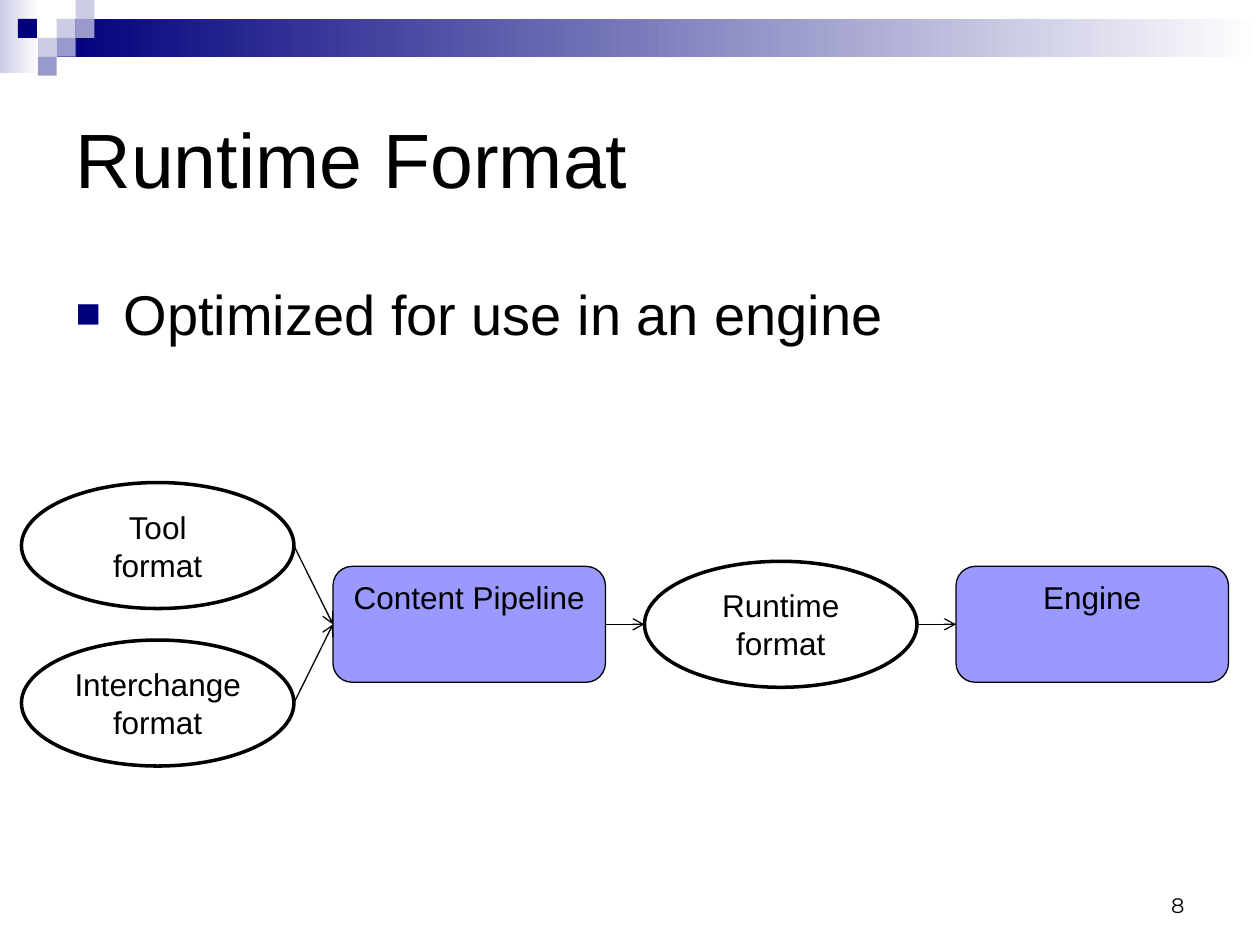
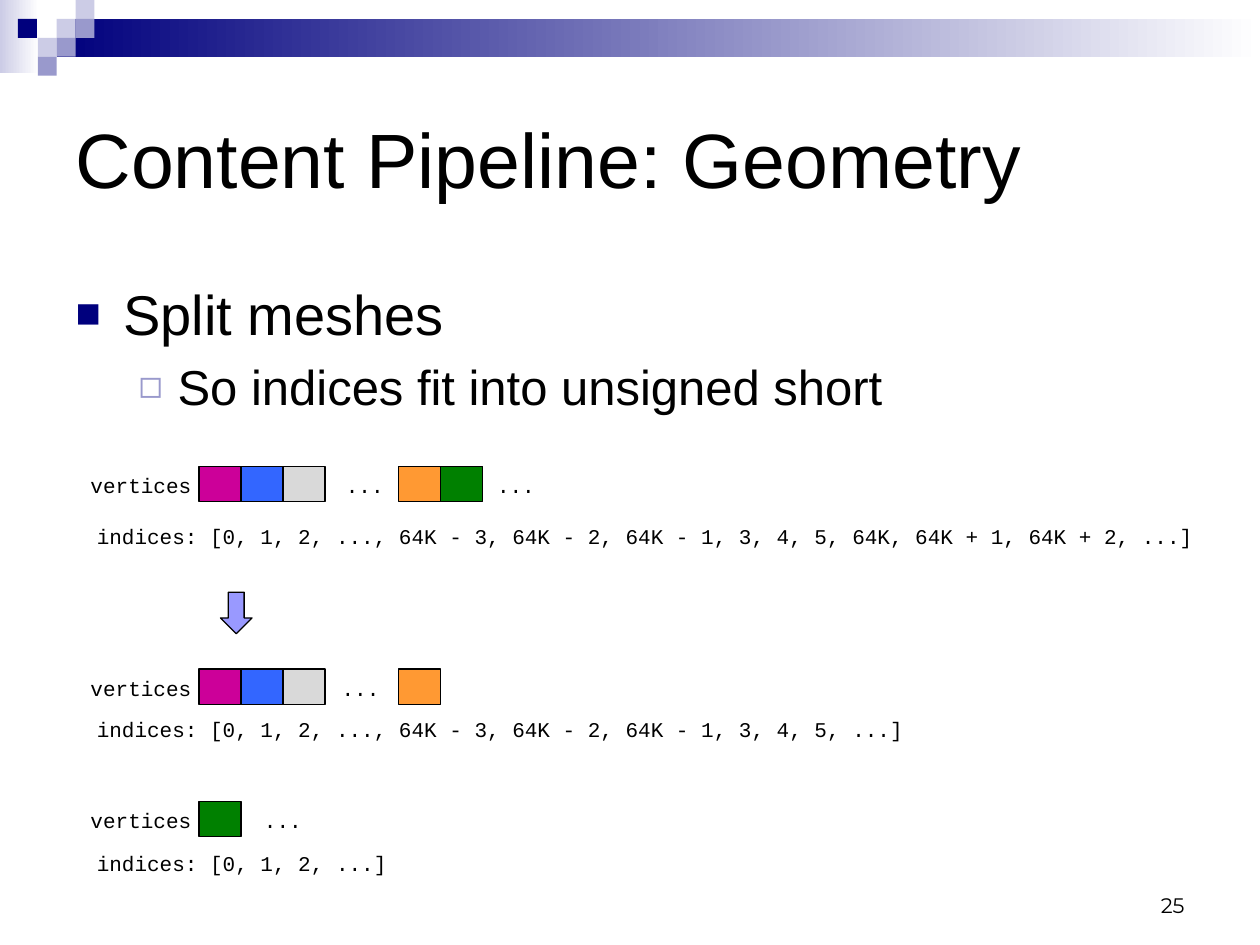
from lxml.etree import SubElement
from pptx import Presentation
from pptx.dml.color import RGBColor
from pptx.enum.shapes import MSO_CONNECTOR, MSO_SHAPE
from pptx.enum.text import MSO_ANCHOR, MSO_AUTO_SIZE, PP_ALIGN
from pptx.oxml.ns import qn
from pptx.util import Inches, Pt

COLORS = {
    "text": "000000", "paper": "FFFFFF", "navy": "00007D", "lavender": "9999CC",
    "mist": "CCCCE6", "process": "9999FF", "magenta": "CC0099", "blue": "3366FF",
    "gray": "D9D9D9", "orange": "FF9933", "green": "008000",
}
SANS, MONO, NUMBER_FONT = "Arial", "Courier New", "Montserrat"
TILE = 0.15  # unit of the header mosaic
# per list level: size, left margin, hanging indent, bullet, bullet colour, bullet size %
LEVELS = [(32, 0.38, 0.38, "■", "navy", 75), (28, 0.81, 0.31, "◻", "lavender", 80)]


def rgb(name):
    return RGBColor.from_string(COLORS[name])


def style(paragraph, size, font=SANS, align=PP_ALIGN.LEFT):
    paragraph.alignment = align
    paragraph.font.size = Pt(size)
    paragraph.font.name = font
    paragraph.font.color.rgb = rgb("text")


def place(shape, left, top, width, height):
    shape.left, shape.top = Inches(left), Inches(top)
    shape.width, shape.height = Inches(width), Inches(height)


def add_block(slide, kind, box, fill, line_width=0.75):
    """Add a preset shape; a pair of colours gives a left-to-right gradient."""
    block = slide.shapes.add_shape(kind, *map(Inches, box))
    block.shadow.inherit = False
    if isinstance(fill, tuple):
        block.fill.gradient()
        block.fill.gradient_angle = 0
        for stop, color in zip(block.fill.gradient_stops, fill):
            stop.color.rgb = rgb(color)
    else:
        block.fill.solid()
        block.fill.fore_color.rgb = rgb(fill)
    if line_width:
        block.line.color.rgb = rgb("text")
        block.line.width = Pt(line_width)
    else:
        block.line.fill.background()
    return block


def add_label(slide, text, box, font, align=PP_ALIGN.LEFT, anchor=MSO_ANCHOR.TOP, wrap=False):
    frame = slide.shapes.add_textbox(*map(Inches, box)).text_frame
    frame.word_wrap, frame.vertical_anchor = wrap, anchor
    frame.text = text
    style(frame.paragraphs[0], 12, font, align)


def add_header(slide):
    rect = MSO_SHAPE.RECTANGLE
    add_block(slide, rect, (0, 0, 0.31, 0.58), ("mist", "paper"), 0)
    add_block(slide, rect, (3 * TILE, TILE, 10 - 3 * TILE, 2 * TILE), ("navy", "paper"), 0)
    tiles = [(3, 1, "mist"), (4, 0, "mist"), (4, 1, "lavender"), (2, 2, "mist"),
             (0.95, 1, "navy"), (3, 2, "lavender"), (2, 3, "lavender")]
    for column, row, color in tiles:
        add_block(slide, rect, (column * TILE, row * TILE, TILE, TILE), color, 0)


def add_bullets(body, items, height):
    place(body, 0.5, 2.17, 9, height)
    frame = body.text_frame
    frame.auto_size = MSO_AUTO_SIZE.NONE
    frame.text = "\n".join(items)
    for level, paragraph in enumerate(frame.paragraphs):
        size, margin, hanging, bullet, color, percent = LEVELS[level]
        paragraph.level = level
        style(paragraph, size)
        props = paragraph._p.get_or_add_pPr()
        props.set("marL", str(Inches(margin)))
        props.set("indent", str(-Inches(hanging)))
        SubElement(SubElement(props, qn("a:buClr")), qn("a:srgbClr"), val=COLORS[color])
        SubElement(props, qn("a:buSzPct"), val=str(percent * 1000))
        SubElement(props, qn("a:buFont"), typeface=SANS)
        SubElement(props, qn("a:buChar"), char=bullet)


def add_slide(prs, title, bullets, body_height, number):
    slide = prs.slides.add_slide(prs.slide_layouts[1])
    add_header(slide)
    heading = slide.shapes.title
    place(heading, 0.5, 0.5, 9, 1.5)
    heading.text_frame.text = title
    heading.text_frame.auto_size = MSO_AUTO_SIZE.NONE
    heading.text_frame.vertical_anchor = MSO_ANCHOR.MIDDLE
    style(heading.text_frame.paragraphs[0], 44)
    add_bullets(slide.placeholders[1], bullets, body_height)
    add_label(slide, number, (7.17, 6.83, 2.33, 0.5), NUMBER_FONT,
              PP_ALIGN.RIGHT, MSO_ANCHOR.BOTTOM, wrap=True)
    return slide


def add_arrow(slide, start, end):
    arrow = slide.shapes.add_connector(MSO_CONNECTOR.STRAIGHT, *map(Inches, start + end))
    arrow.line.color.rgb = rgb("text")
    arrow.line.width = Pt(0.75)
    props = arrow._element.spPr
    SubElement(props.find(qn("a:ln")), qn("a:tailEnd"), type="arrow")
    SubElement(props, qn("a:effectLst"))


def add_flow(slide, left, top, width, height):
    """Formats (ellipses) and processes (rounded boxes) in four columns."""
    gap = 0.31
    node_width = (width - 3 * gap) / 4
    pitch = node_width + gap
    middle = top + height / 2
    format_height, process_height = 1, 0.92

    def add_node(text, column, center, is_format):
        node_height = format_height if is_format else process_height
        node = add_block(slide, MSO_SHAPE.OVAL if is_format else MSO_SHAPE.ROUNDED_RECTANGLE,
                         (left + column * pitch, center - node_height / 2, node_width, node_height),
                         "paper" if is_format else "process", 2 if is_format else 0.75)
        frame = node.text_frame
        frame.vertical_anchor = MSO_ANCHOR.MIDDLE if is_format else MSO_ANCHOR.TOP
        frame.text = text
        for paragraph in frame.paragraphs:
            style(paragraph, 18, align=PP_ALIGN.CENTER)

    upper, lower = top + format_height / 2, top + height - format_height / 2
    add_node("Interchange format", 0, lower, True)
    add_node("Tool\nformat", 0, upper, True)
    add_node("Content Pipeline", 1, middle, False)
    add_node("Runtime\nformat", 2, middle, True)
    add_node("Engine", 3, middle, False)
    for column, source in [(0, lower), (0, upper), (1, middle), (2, middle)]:
        end = left + (column + 1) * pitch
        add_arrow(slide, (end - gap, source), (end, middle))


def add_mesh(slide, left, top, vertices, dots, indices, indices_drop):
    """Vertex cells and dots at cell columns, with the index list below."""
    cell, first_cell = 1 / 3, left + 0.96
    add_label(slide, "vertices", (left, top, 1, 0.3), MONO)
    for column in dots:
        add_label(slide, "...", (first_cell + column * cell, top, 0.5, 0.3), MONO)
    for column, color in vertices:
        add_block(slide, MSO_SHAPE.RECTANGLE,
                  (first_cell + column * cell, top, cell, 0.28), color)
    add_label(slide, f"indices: [{indices}]", (left + 0.05, top + indices_drop, 9, 0.3), MONO)


def build_runtime_format(prs):
    slide = add_slide(prs, "Runtime Format", ["Optimized for use in an engine"], 0.67, "8")
    add_flow(slide, 0.17, 3.83, 9.58, 2.25)


def build_geometry(prs):
    slide = add_slide(prs, "Content Pipeline: Geometry",
                      ["Split meshes", "So indices fit into unsigned short"], 1.25, "25")
    shared = [(0, "magenta"), (1, "blue"), (2, "gray"), (4.75, "orange")]
    prefix = "0, 1, 2, ..., 64K - 3, 64K - 2, 64K - 1, 3, 4, 5, "
    left = 0.62
    add_mesh(slide, left, 3.7, shared + [(5.75, "green")], [3.2, 6.8],
             prefix + "64K, 64K + 1, 64K + 2, ...", 0.41)
    add_block(slide, MSO_SHAPE.DOWN_ARROW, (1.75, 4.7, 0.25, 0.33), "process")
    add_mesh(slide, left, 5.31, shared, [3.1], prefix + "...", 0.33)
    add_mesh(slide, left, 6.36, [(0, "green")], [1.25], "0, 1, 2, ...", 0.34)


def main():
    prs = Presentation()
    prs.slide_width, prs.slide_height = Inches(10), Inches(7.5)
    build_runtime_format(prs)
    build_geometry(prs)
    prs.save("out.pptx")


if __name__ == "__main__":
    main()
